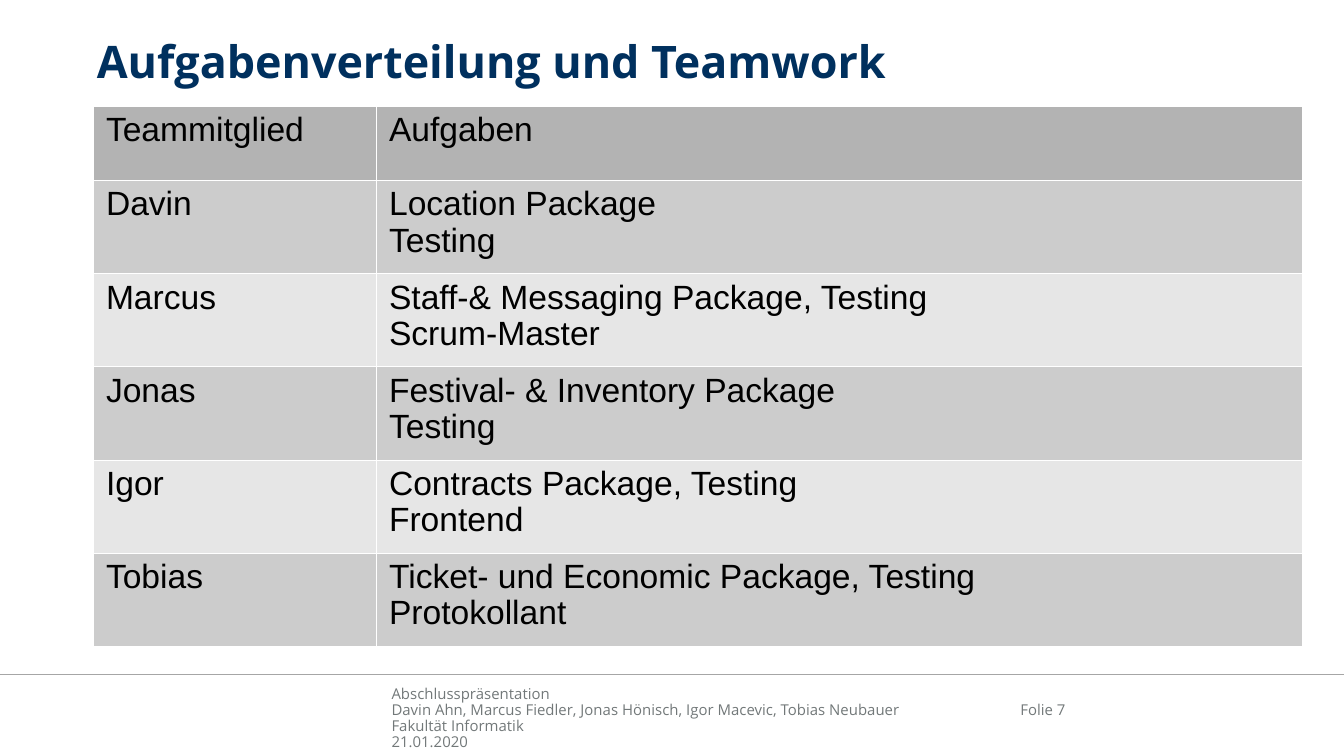
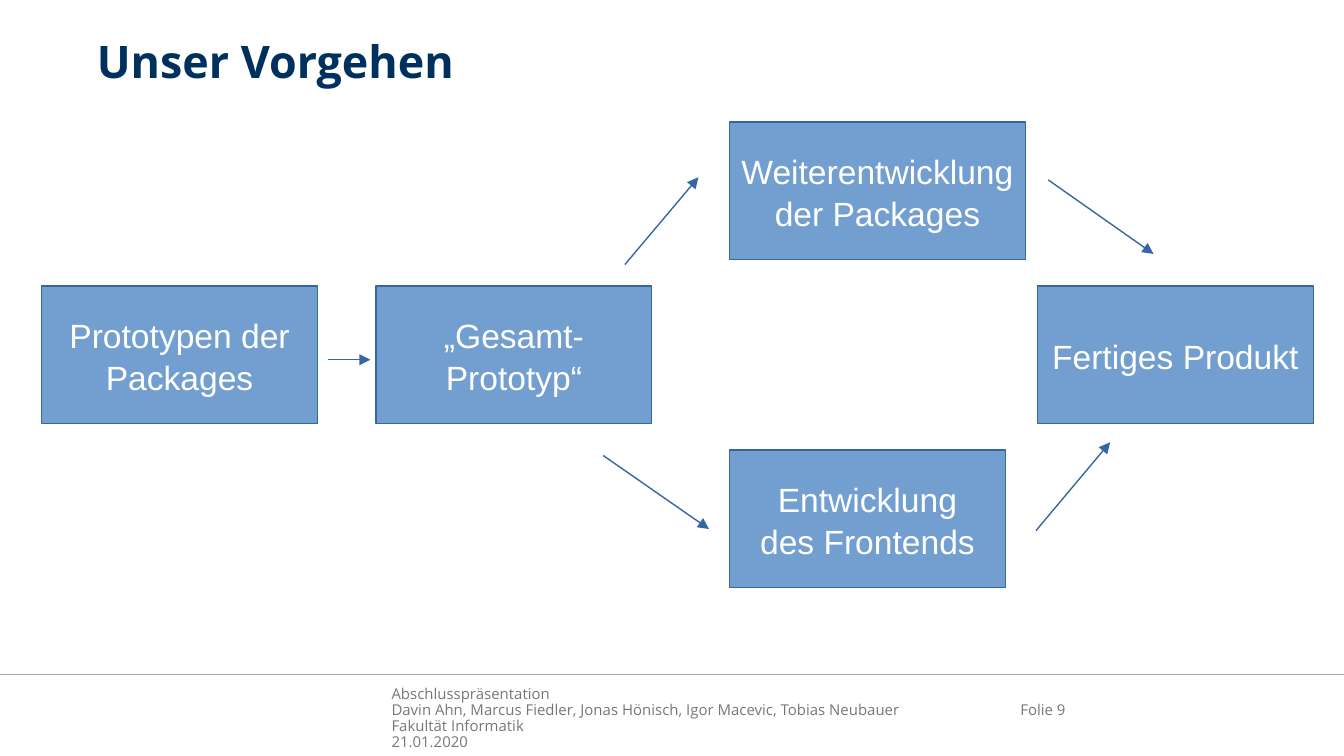
from lxml.etree import SubElement
from pptx import Presentation
from pptx.dml.color import RGBColor
from pptx.enum.shapes import MSO_CONNECTOR, MSO_SHAPE
from pptx.enum.text import MSO_ANCHOR, MSO_AUTO_SIZE, PP_ALIGN
from pptx.oxml.ns import qn
from pptx.util import Cm, Pt

NAVY, GREY, RULE = "00305E", "727879", "A6A6A6"
BLUE, EDGE = "729FCF", "3465A4"
WHITE, BLACK = "FFFFFF", "000000"
HEAD, BANDS = "B3B3B3", ("CCCCCC", "E6E6E6")
SANS, ARIAL = "Open Sans", "Arial"


def paint(fill, color):
    fill.solid()
    fill.fore_color.rgb = RGBColor.from_string(color)


def write(frame, text, font, size, color, space, align=PP_ALIGN.LEFT, margin=None):
    """Fill a text frame, one paragraph per line of text, in one style."""
    frame.text = text
    if margin is not None:
        frame.margin_left = frame.margin_right = Cm(margin)
        frame.margin_top = frame.margin_bottom = Cm(margin)
    for para in frame.paragraphs:
        para.alignment = align
        para.line_spacing = space
        para.font.name = font
        para.font.size = Pt(size)
        paint(para.font.fill, color)


deck = Presentation()
deck.slide_width, deck.slide_height = Cm(25.4), Cm(14.29)

# Title, footer and rule on both slides
footer = """Abschlusspräsentation
Davin Ahn, Marcus Fiedler, Jonas Hönisch, Igor Macevic, Tobias Neubauer
Fakultät Informatik
21.01.2020"""
slides = []
for title, number in (("Aufgabenverteilung und Teamwork", 7), ("Unser Vorgehen", 9)):
    slide = deck.slides.add_slide(deck.slide_layouts[5])
    slides.append(slide)

    head = slide.shapes.title
    head.left, head.top, head.width, head.height = Cm(1.83), Cm(0.71), Cm(22.05), Cm(1.42)
    frame = head.text_frame
    write(frame, title, SANS, 24, NAVY, 0.95, margin=0)
    frame.paragraphs[0].font.bold = True
    frame.vertical_anchor = MSO_ANCHOR.TOP
    frame.auto_size = MSO_AUTO_SIZE.NONE

    frame = slide.shapes.add_textbox(Cm(7.4), Cm(12.85), Cm(10.8), Cm(1.35)).text_frame
    write(frame, footer, SANS, 8, GREY, 0.9, margin=0)
    frame.vertical_anchor = MSO_ANCHOR.BOTTOM
    frame.word_wrap = True

    frame = slide.shapes.add_textbox(Cm(18.67), Cm(12.14), Cm(1.47), Cm(1.78)).text_frame
    write(frame, f"Folie {number}", SANS, 8, GREY, 1.0, PP_ALIGN.RIGHT, 0)
    frame.margin_bottom = Cm(0.34)
    frame.vertical_anchor = MSO_ANCHOR.BOTTOM
    frame.word_wrap = True

    rule = slide.shapes.add_connector(
        MSO_CONNECTOR.STRAIGHT, 0, Cm(12.75), deck.slide_width, Cm(12.75))
    paint(rule.line.fill, RULE)
    rule.line.width = Pt(1)
    SubElement(rule.element.spPr, qn("a:effectLst"))

team, flow = slides

# Team table
tasks = (
    ("Teammitglied", "Aufgaben"),
    ("Davin", "Location Package\nTesting"),
    ("Marcus", "Staff-& Messaging Package, Testing\nScrum-Master"),
    ("Jonas", "Festival- & Inventory Package\nTesting"),
    ("Igor", "Contracts Package, Testing\nFrontend"),
    ("Tobias", "Ticket- und Economic Package, Testing\nProtokollant"),
)
table = team.shapes.add_table(
    len(tasks), 2, Cm(1.75), Cm(2.01), Cm(22.86), Cm(10.19)).table
table.columns[0].width, table.columns[1].width = Cm(5.35), Cm(17.51)
for r, texts in enumerate(tasks):
    table.rows[r].height = Cm(1.76 if r else 1.4)
    for c, text in enumerate(texts):
        cell = table.cell(r, c)
        write(cell.text_frame, text, ARIAL, 18, BLACK, 0.96)
        props = cell._tc.get_or_add_tcPr()
        for side in ("lnL", "lnR", "lnT", "lnB"):
            edge = SubElement(props, qn(f"a:{side}"), w=str(Pt(0.06)))
            SubElement(SubElement(edge, qn("a:solidFill")), qn("a:srgbClr"), val=WHITE)
        paint(cell.fill, BANDS[(r - 1) % 2] if r else HEAD)
        for para in cell.text_frame.paragraphs:
            para.font.bold = False

# Steps of the work: left, top, width, text
steps = (
    (0.79, 5.41, 5.21, "Prototypen der\nPackages"),
    (7.11, 5.41, 5.21, "„Gesamt-\nPrototyp“"),
    (13.79, 2.31, 5.59, "Weiterentwicklung\nder Packages"),
    (13.79, 8.51, 5.21, "Entwicklung\ndes Frontends"),
    (19.61, 5.41, 5.21, "Fertiges Produkt"),
)
for left, top, width, text in steps:
    box = flow.shapes.add_shape(
        MSO_SHAPE.RECTANGLE, Cm(left), Cm(top), Cm(width), Cm(2.6))
    box.shadow.inherit = False
    paint(box.fill, BLUE)
    paint(box.line.fill, EDGE)
    box.line.width = Pt(0.75)
    write(box.text_frame, text, ARIAL, 18, WHITE, 1.05, PP_ALIGN.CENTER)
    box.text_frame.vertical_anchor = MSO_ANCHOR.MIDDLE
    box.text_frame.word_wrap = False

# Arrows between the steps: start and end
arrows = (
    (6.2, 6.8, 7, 6.8),
    (11.4, 8.61, 13.4, 10),
    (11.81, 5, 13.2, 3.35),
    (19.81, 3.4, 21.8, 4.8),
    (19.58, 10.03, 20.98, 8.36),
)
for ends in arrows:
    arrow = flow.shapes.add_connector(MSO_CONNECTOR.STRAIGHT, *map(Cm, ends))
    paint(arrow.line.fill, EDGE)
    arrow.line.width = Pt(0.75)
    SubElement(arrow.line._get_or_add_ln(), qn("a:tailEnd"), type="triangle")
    SubElement(arrow.element.spPr, qn("a:effectLst"))

deck.save("out.pptx")
